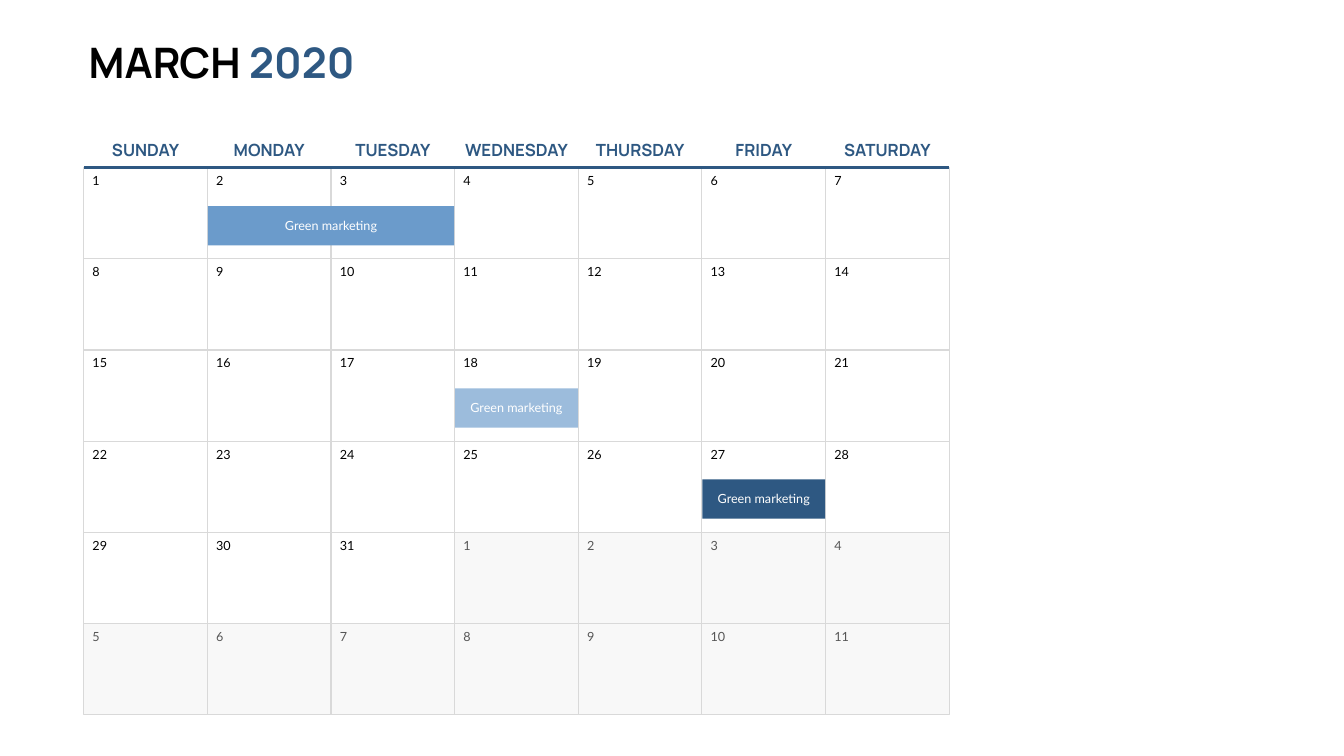
from pptx import Presentation
from pptx.dml.color import RGBColor
from pptx.enum.shapes import MSO_CONNECTOR as Connector, MSO_SHAPE as Shape
from pptx.enum.text import MSO_ANCHOR as Anchor, MSO_AUTO_SIZE as AutoSize, PP_ALIGN as Align
from pptx.oxml.ns import qn
from pptx.util import Cm, Pt
from lxml.etree import SubElement

BLACK = RGBColor(0x00, 0x00, 0x00)
WHITE = RGBColor(0xFF, 0xFF, 0xFF)
NAVY = RGBColor(0x2E, 0x58, 0x82)
BLUE = RGBColor(0x6B, 0x9B, 0xCB)
LIGHT_BLUE = RGBColor(0x9C, 0xBC, 0xDC)
GRID = RGBColor(0xD9, 0xD9, 0xD9)
PALE = RGBColor(0xF2, 0xF2, 0xF2)
GREY = RGBColor(0x56, 0x56, 0x56)

# Calendar grid, in centimetres
LEFT, TOP = 4.22, 8.46
COLUMN, ROW = 6.23, 4.59
COLUMNS, ROWS = 7, 6
DAYS_IN_MONTH = 31


class Calendar:
    heading_font = "Manrope"
    body_font = "Lato"

    def __init__(self, page):
        self.page = page

    def rect(self, x, y, width, height, fill, line=None, alpha=None, parent=None):
        shapes = (parent or self.page).shapes
        box = shapes.add_shape(Shape.RECTANGLE, Cm(x), Cm(y), Cm(width), Cm(height))
        box.shadow.inherit = False
        box.fill.solid()
        box.fill.fore_color.rgb = fill
        if alpha:
            color = box.fill._xPr.find(qn("a:solidFill"))[0]
            SubElement(color, qn("a:alpha")).set("val", str(alpha * 1000))
        if line:
            box.line.color.rgb = line
            box.line.width = Pt(1.5)
        else:
            box.line.fill.background()

    def text(self, x, y, width, height, spans, size, font, bold=False,
             align=Align.LEFT, anchor=Anchor.TOP, wrap=False, parent=None):
        shapes = (parent or self.page).shapes
        box = shapes.add_textbox(Cm(x), Cm(y), Cm(width), Cm(height))
        frame = box.text_frame
        frame.word_wrap = wrap
        frame.auto_size = AutoSize.SHAPE_TO_FIT_TEXT
        frame.vertical_anchor = anchor
        para = frame.paragraphs[0]
        para.alignment = align
        para.font.name, para.font.size, para.font.bold = font, Pt(size), bold
        for words, color in spans:
            span = para.add_run()
            span.text = words
            span.font.color.rgb = color

    def title(self, month, year):
        self.text(4.22, 1.7, 14.33, 2.82, [(month + " ", BLACK), (year, NAVY)],
                  60, self.heading_font, bold=True)

    def day(self, index):
        row, column = divmod(index, COLUMNS)
        x, y = LEFT + column * COLUMN, TOP + row * ROW
        in_month = index < DAYS_IN_MONTH
        number = str(index % DAYS_IN_MONTH + 1)
        self.rect(x, y, COLUMN, ROW, WHITE if in_month else PALE, GRID,
                  alpha=None if in_month else 50)
        self.text(x + 0.19, y + 0.14, 0.51 + 0.38 * len(number), 1.02,
                  [(number, BLACK if in_month else GREY)], 18, self.body_font,
                  anchor=Anchor.MIDDLE)

    def weekday(self, column, name, width):
        x = LEFT + (column + 0.5) * COLUMN - width / 2
        self.text(x, 6.91, width, 1.27, [(name, NAVY)], 24, self.heading_font,
                  bold=True, align=Align.CENTER, anchor=Anchor.MIDDLE)

    def rule(self):
        line = self.page.shapes.add_connector(
            Connector.STRAIGHT, Cm(LEFT), Cm(TOP), Cm(LEFT + COLUMNS * COLUMN), Cm(TOP))
        line.line.color.rgb = NAVY
        line.line.width = Pt(4.5)
        SubElement(line._element.spPr, qn("a:effectLst"))

    def event(self, first_day, span, name, color):
        row, column = divmod(first_day - 1, COLUMNS)
        x, y = LEFT + column * COLUMN + 0.02, TOP + row * ROW + 1.93
        width = span * COLUMN - 0.04
        inset = 0.2 + 0.2 * span
        group = self.page.shapes.add_group_shape()
        self.rect(x, y, width, 1.98, color, parent=group)
        self.text(x + inset, y + 0.48, width - 2 * inset, 1.02, [(name, WHITE)],
                  18, self.body_font, align=Align.CENTER, wrap=True, parent=group)


deck = Presentation()
deck.slide_width, deck.slide_height = Cm(67.72), Cm(38.1)
calendar = Calendar(deck.slides.add_slide(deck.slide_layouts[6]))

calendar.title("MARCH", "2020")

# Day cells
for index in range(ROWS * COLUMNS):
    calendar.day(index)

# Weekday headings, with the widths of their boxes
WEEKDAYS = [("SUNDAY", 4.11), ("MONDAY", 4.45), ("TUESDAY", 4.45), ("WEDNESDAY", 5.97),
            ("THURSDAY", 5.16), ("FRIDAY", 3.63), ("SATURDAY", 5.16)]
for column, (name, width) in enumerate(WEEKDAYS):
    calendar.weekday(column, name, width)
calendar.rule()

# Events: first day, number of days, colour
for first_day, span, color in [(2, 2, BLUE), (18, 1, LIGHT_BLUE), (27, 1, NAVY)]:
    calendar.event(first_day, span, "Green marketing", color)

deck.save("out.pptx")
